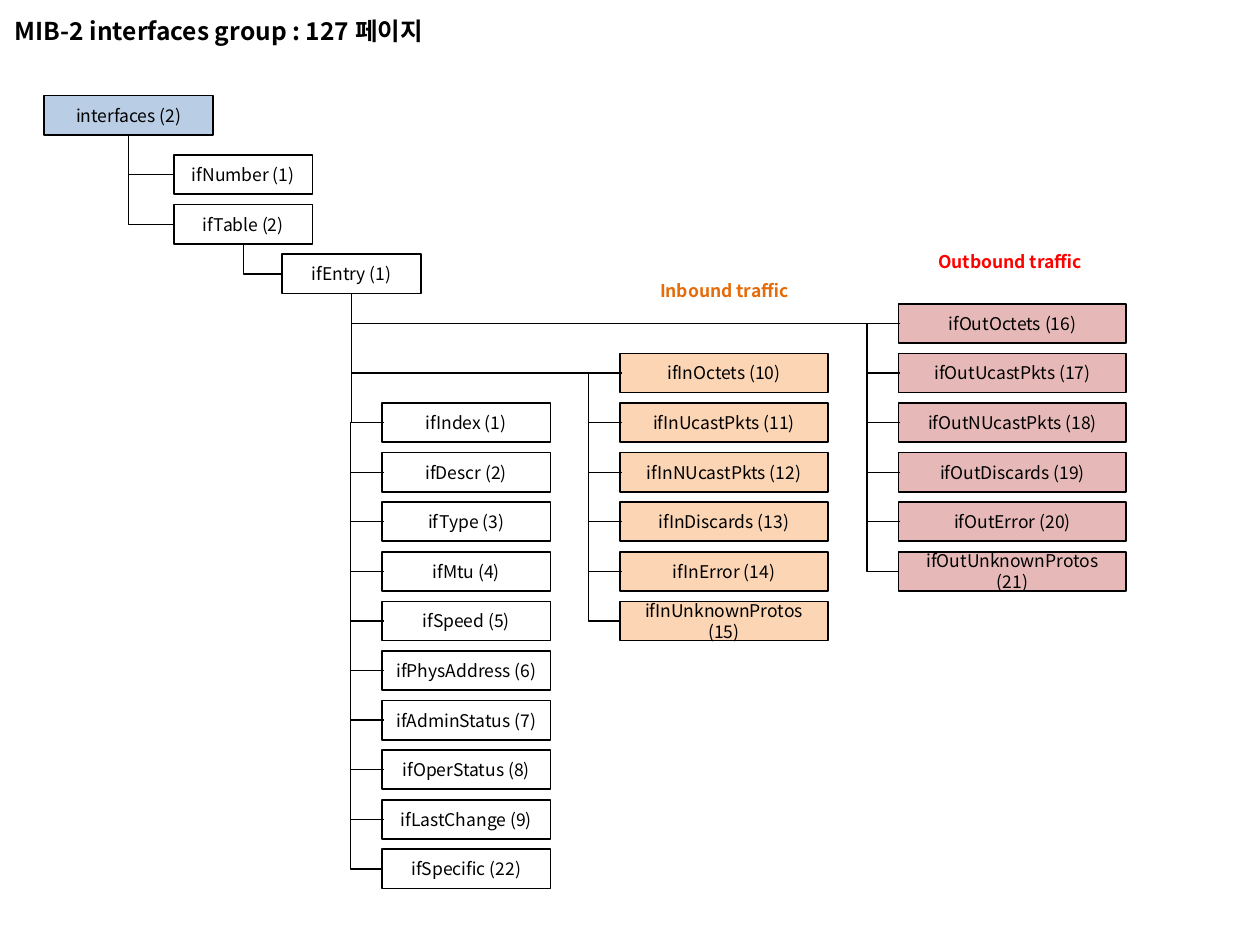
from lxml import etree
from pptx import Presentation
from pptx.dml.color import RGBColor
from pptx.enum.shapes import MSO_CONNECTOR, MSO_SHAPE
from pptx.enum.text import MSO_ANCHOR, MSO_AUTO_SIZE, PP_ALIGN
from pptx.oxml.ns import qn
from pptx.util import Inches, Pt

ELBOW = MSO_CONNECTOR.ELBOW
RECTANGLE = MSO_SHAPE.RECTANGLE
MIDDLE = MSO_ANCHOR.MIDDLE
TOP = MSO_ANCHOR.TOP
FIT_SHAPE = MSO_AUTO_SIZE.SHAPE_TO_FIT_TEXT
NO_FIT = MSO_AUTO_SIZE.NONE
CENTER = PP_ALIGN.CENTER
LEFT = PP_ALIGN.LEFT

COLUMNS = 100
ROW_HEIGHT = 0.3936
TOP_MARGIN = 0.05
BOX_ROWS = 0.79
SPINE_OFFSET = 2.5
OVERLAP = 0.15

INTERFACE_FIELDS = [
    "ifIndex (1)", "ifDescr (2)", "ifType (3)", "ifMtu (4)", "ifSpeed (5)",
    "ifPhysAddress (6)", "ifAdminStatus (7)", "ifOperStatus (8)",
    "ifLastChange (9)", "ifSpecific (22)",
]
INBOUND_FIELDS = [
    "ifInOctets (10)", "ifInUcastPkts (11)", "ifInNUcastPkts (12)",
    "ifInDiscards (13)", "ifInError (14)", "ifInUnknownProtos (15)",
]
OUTBOUND_FIELDS = [
    "ifOutOctets (16)", "ifOutUcastPkts (17)", "ifOutNUcastPkts (18)",
    "ifOutDiscards (19)", "ifOutError (20)", "ifOutUnknownProtos (21)",
]


def color(value):
    """Turn a hex string into a colour."""
    return RGBColor.from_string(value)


def apply_format(target, values):
    """Set each named attribute on the target."""
    for name, value in values.items():
        setattr(target, name, value)


class TreeSlide:
    """Draws the elements of a tree diagram on one slide."""

    font_name = "Noto Sans CJK KR"
    ink = "000000"
    box_line = Pt(1)
    connector_line = Pt(0.75)

    def __init__(self, presentation):
        """Add a blank slide and work out its column width."""
        self.slide = presentation.slides.add_slide(presentation.slide_layouts[6])
        self.column_width = presentation.slide_width / COLUMNS

    def x(self, columns):
        """Convert columns to a length."""
        return round(columns * self.column_width)

    def frame(self, column, row, columns, rows):
        """Convert a grid area to left, top, width and height."""
        top = Inches(TOP_MARGIN + row * ROW_HEIGHT)
        return self.x(column), top, self.x(columns), Inches(rows * ROW_HEIGHT)

    def fill_text(self, shape, text, frame_format, alignment, font_format, ink):
        """Put one formatted paragraph into a shape."""
        apply_format(shape.text_frame, frame_format)
        paragraph = shape.text_frame.paragraphs[0]
        paragraph.alignment = alignment
        run = paragraph.add_run()
        run.text = text
        apply_format(run.font, {"name": self.font_name, **font_format})
        run.font.color.rgb = color(ink)
        properties = run._r.get_or_add_rPr()
        etree.SubElement(properties, qn("a:ea"), typeface=self.font_name)

    def text(self, text, area, size, ink, frame_format):
        """Add a bold line of text without a box."""
        shape = self.slide.shapes.add_textbox(*self.frame(*area))
        self.fill_text(shape, text, frame_format, LEFT, {"size": Pt(size), "bold": True}, ink)

    def title(self, text):
        """Add the slide title."""
        frame_format = {"word_wrap": True, "auto_size": NO_FIT, "vertical_anchor": MIDDLE}
        self.text(text, (0.2, 0, 90, 0.97), 14, self.ink, frame_format)

    def label(self, text, column, row, columns, ink):
        """Add a coloured heading above a group."""
        frame_format = {"word_wrap": False, "auto_size": FIT_SHAPE, "vertical_anchor": TOP}
        self.text(text, (column, row, columns, 0.69), 10, ink, frame_format)

    def box(self, text, column, row, columns, fill=None):
        """Add an outlined node and return it."""
        area = self.frame(column, row, columns, BOX_ROWS)
        shape = self.slide.shapes.add_shape(RECTANGLE, *area)
        shape.shadow.inherit = False
        if fill:
            shape.fill.solid()
            shape.fill.fore_color.rgb = color(fill)
        else:
            shape.fill.background()
        shape.line.color.rgb = color(self.ink)
        shape.line.width = self.box_line
        frame_format = {"word_wrap": True, "vertical_anchor": MIDDLE}
        self.fill_text(shape, text, frame_format, CENTER, {"size": Pt(10)}, self.ink)
        return shape

    def elbow(self, begin_x, begin_y, end_x, end_y):
        """Add a plain elbow connector and return its properties."""
        connector = self.slide.shapes.add_connector(
            ELBOW, round(begin_x), round(begin_y), round(end_x), round(end_y))
        connector.line.color.rgb = color(self.ink)
        connector.line.width = self.connector_line
        properties = connector._element.spPr
        etree.SubElement(properties, qn("a:effectLst"))
        return properties

    def branch(self, parent, child):
        """Link the bottom of a parent to the left side of a child."""
        begin_x, begin_y = parent.left + parent.width / 2, parent.top + parent.height
        end_x, end_y = child.left, child.top + child.height / 2
        center_x, center_y = (begin_x + end_x) / 2, (begin_y + end_y) / 2
        half_run, half_drop = (end_x - begin_x) / 2, (end_y - begin_y) / 2
        properties = self.elbow(center_x + half_drop, center_y - half_run,
                                center_x - half_drop, center_y + half_run)
        properties.find(qn("a:xfrm")).set("rot", "16200000")
        properties.find(qn("a:prstGeom")).set("prst", "bentConnector2")

    def bracket(self, upper, lower):
        """Link the left sides of two stacked boxes."""
        properties = self.elbow(upper.left + self.x(OVERLAP), upper.top + upper.height / 2,
                                lower.left, lower.top + lower.height / 2)
        bend = round((SPINE_OFFSET + OVERLAP) / OVERLAP * 100000)
        geometry = properties.find(qn("a:prstGeom"))
        guides = geometry.find(qn("a:avLst"))
        if guides is None:
            guides = etree.SubElement(geometry, qn("a:avLst"))
        etree.SubElement(guides, qn("a:gd"), name="adj1", fmla=f"val {bend}")

    def group(self, parent, names, column, row, columns, fill=None):
        """Stack boxes, chain them and link the first to a parent."""
        boxes = [self.box(name, column, row + index, columns, fill)
                 for index, name in enumerate(names)]
        self.branch(parent, boxes[0])
        for upper, lower in zip(boxes, boxes[1:]):
            self.bracket(upper, lower)


def main():
    """Build the interfaces group slide."""
    presentation = Presentation()
    apply_format(presentation, {"slide_width": Inches(10), "slide_height": Inches(7.5)})
    tree = TreeSlide(presentation)
    tree.title("MIB-2 interfaces group : 127 페이지")

    interfaces = tree.box("interfaces (2)", 3.5, 1.8, 13.4, "B9CDE5")
    number = tree.box("ifNumber (1)", 13.8, 3, 11)
    table = tree.box("ifTable (2)", 13.8, 4, 11)
    entry = tree.box("ifEntry (1)", 22.4, 5, 11)
    for parent, child in [(interfaces, number), (interfaces, table), (table, entry)]:
        tree.branch(parent, child)

    tree.group(entry, INTERFACE_FIELDS, 30.3, 8, 13.4)
    tree.group(entry, INBOUND_FIELDS, 49.2, 7, 16.5, "FCD5B5")
    tree.group(entry, OUTBOUND_FIELDS, 71.3, 6, 18.1, "E6B9B8")
    tree.label("Inbound traffic", 51.4, 5.4, 12.5, "E46C0A")
    tree.label("Outbound traffic", 73.5, 4.8, 13.6, "FF0000")
    presentation.save("out.pptx")


if __name__ == "__main__":
    main()
